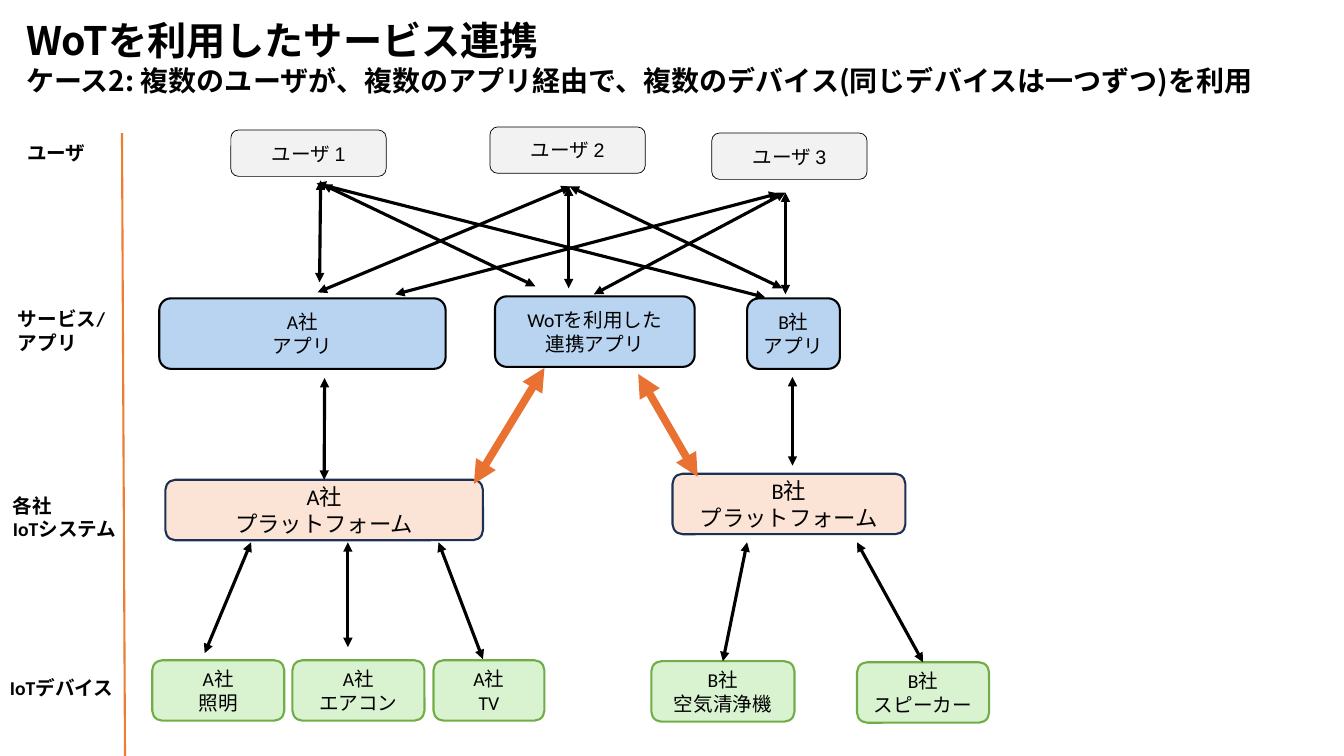
from lxml.etree import SubElement
from pptx import Presentation
from pptx.dml.color import RGBColor
from pptx.enum.shapes import MSO_CONNECTOR as Connector, MSO_SHAPE as Shape
from pptx.enum.text import MSO_ANCHOR as Anchor, MSO_AUTO_SIZE as AutoSize, PP_ALIGN as Align
from pptx.oxml.ns import qn
from pptx.util import Inches, Pt

BLACK = "000000"
ORANGE = "E97132"
JAPANESE_FONT = "Noto Sans CJK JP"
TOP = 0


def color(value):
    return RGBColor.from_string(value)


def write(frame, text, size=14, first_size=None, font="Calibri", bold=False, align=Align.LEFT):
    for index, line in enumerate(text.split("\n")):
        paragraph = frame.add_paragraph() if index else frame.paragraphs[0]
        paragraph.text = line
        paragraph.alignment = align
        for run in paragraph.runs:
            run.font.size = Pt(first_size if first_size and index == 0 else size)
            run.font.name = font
            run.font.bold = bold
            run.font.color.rgb = color(BLACK)
            east_asian = SubElement(run.font._element, qn("a:ea"))
            east_asian.set("typeface", JAPANESE_FONT)


class Diagram:
    """Draws labels, rounded boxes and arrows on one slide in a shared style."""

    def __init__(self, slide):
        self.shapes = slide.shapes

    def label(self, left, top, width, height, text, **text_format):
        shape = self.shapes.add_textbox(*map(Inches, (left, top, width, height)))
        frame = shape.text_frame
        frame.word_wrap = True
        frame.auto_size = AutoSize.SHAPE_TO_FIT_TEXT
        write(frame, text, bold=True, **text_format)

    def box(self, left, top, width, height, text, fill, line, line_width=1.5, **text_format):
        shape = self.shapes.add_shape(
            Shape.ROUNDED_RECTANGLE, *map(Inches, (left, top, width, height)))
        shape.shadow.inherit = False
        shape.fill.solid()
        shape.fill.fore_color.rgb = color(fill)
        shape.line.color.rgb = color(line)
        shape.line.width = Pt(line_width)
        frame = shape.text_frame
        frame.word_wrap = True
        frame.vertical_anchor = Anchor.MIDDLE
        write(frame, text, align=Align.CENTER, **text_format)
        return shape

    def line(self, start, end, line_color=BLACK, width=2.25):
        connector = self.shapes.add_connector(
            Connector.STRAIGHT, *map(Inches, (*start, *end)))
        connector.line.color.rgb = color(line_color)
        connector.line.width = Pt(width)
        SubElement(connector._element.spPr, qn("a:effectLst"))
        return connector

    def arrow(self, start, end, **line_format):
        connector = self.line(start, end, **line_format)
        outline = connector.line._get_or_add_ln()
        for side in ("a:headEnd", "a:tailEnd"):
            SubElement(outline, qn(side)).set("type", "triangle")
        return connector


def main():
    presentation = Presentation()
    presentation.slide_width = Inches(13.33)
    presentation.slide_height = Inches(7.5)
    diagram = Diagram(presentation.slides.add_slide(presentation.slide_layouts[6]))

    diagram.label(
        0.16, 0.11, 12.93, 0.91,
        "WoTを利用したサービス連携\n"
        "ケース2: 複数のユーザが、複数のアプリ経由で、複数のデバイス(同じデバイスは一つずつ)を利用",
        size=20, first_size=28, font=JAPANESE_FONT)

    for left, top, width, height, text in (
        (0.17, 1.35, 1.39, 0.33, "ユーザ"),
        (0.08, 3, 1.39, 0.57, "サービス/\vアプリ"),
        (0.03, 4.85, 1.23, 0.57, "各社\nIoTシステム"),
        (0, 6.66, 1.31, 0.33, "IoTデバイス"),
    ):
        diagram.label(left, top, width, height, text)
    diagram.line((1.21, 1.32), (1.24, 7.5), line_color="ED7D31", width=1.5)

    for number, (left, top) in enumerate(((2.29, 1.29), (4.86, 1.26), (7.06, 1.32)), 1):
        diagram.box(left, top, 1.54, 0.46, f"ユーザ {number}", "F2F2F2", BLACK,
                    line_width=0.5, font="Arial")

    for left, top, width, text in (
        (1.58, 2.96, 2.84, "A社\vアプリ"),
        (4.91, 2.94, 1.98, "WoTを利用した\v連携アプリ"),
        (7.41, 2.96, 0.92, "B社\vアプリ"),
    ):
        diagram.box(left, top, width, 0.7, text, "B8D4F0", BLACK)

    platform_a, platform_b = [
        diagram.box(left, top, width, 0.6, f"{company}社\nプラットフォーム",
                    "FBE3D6", "1D3155", size=16)
        for left, top, width, company in ((1.64, 4.76, 3.15, "A"), (6.67, 4.7, 2.31, "B"))
    ]

    light, air_conditioner, television, purifier, speaker = [
        diagram.box(left, top, width, 0.6, text, "D9F2D0", "70AD47")
        for left, top, width, text in (
            (1.51, 6.55, 1.31, "A社\n照明"),
            (2.9, 6.55, 1.31, "A社\nエアコン"),
            (4.3, 6.55, 1.1, "A社\nTV"),
            (6.46, 6.56, 1.42, "B社\n空気清浄機"),
            (8.5, 6.57, 1.31, "B社\vスピーカー"),
        )
    ]

    for app_end, user_end in (
        ((3.17, 2.8), (3.18, 1.79)),
        ((5.31, 2.84), (3.2, 1.83)),
        ((7.59, 2.95), (3.14, 1.82)),
        ((3.15, 2.9), (5.66, 1.85)),
        ((5.64, 2.86), (5.64, 1.85)),
        ((7.76, 2.86), (5.65, 1.85)),
        ((3.92, 2.92), (7.72, 1.92)),
        ((5.89, 2.92), (7.79, 1.91)),
        ((7.79, 2.92), (7.79, 1.91)),
    ):
        diagram.arrow(app_end, user_end)

    for app_end, platform_end, platform in (
        ((3.22, 3.75), (3.22, 4.76), platform_a),
        ((7.86, 3.74), (7.86, 4.62), None),
    ):
        connector = diagram.arrow(app_end, platform_end)
        if platform:
            connector.end_connect(platform, TOP)

    for app_end, platform_end in (((5.4, 3.65), (4.7, 4.8)), ((6.33, 3.71), (6.92, 4.73))):
        diagram.arrow(app_end, platform_end, line_color=ORANGE, width=5.5)

    for platform_x, device_end, device in (
        (2.49, (2.03, 6.48), None),
        (3.45, (3.45, 6.42), None),
        (4.35, (4.79, 6.54), None),
        (7.41, (7.17, 6.56), purifier),
        (8.5, (9.15, 6.57), speaker),
    ):
        connector = diagram.arrow((platform_x, 5.38), device_end)
        if device:
            connector.end_connect(device, TOP)

    presentation.save("out.pptx")


if __name__ == "__main__":
    main()
